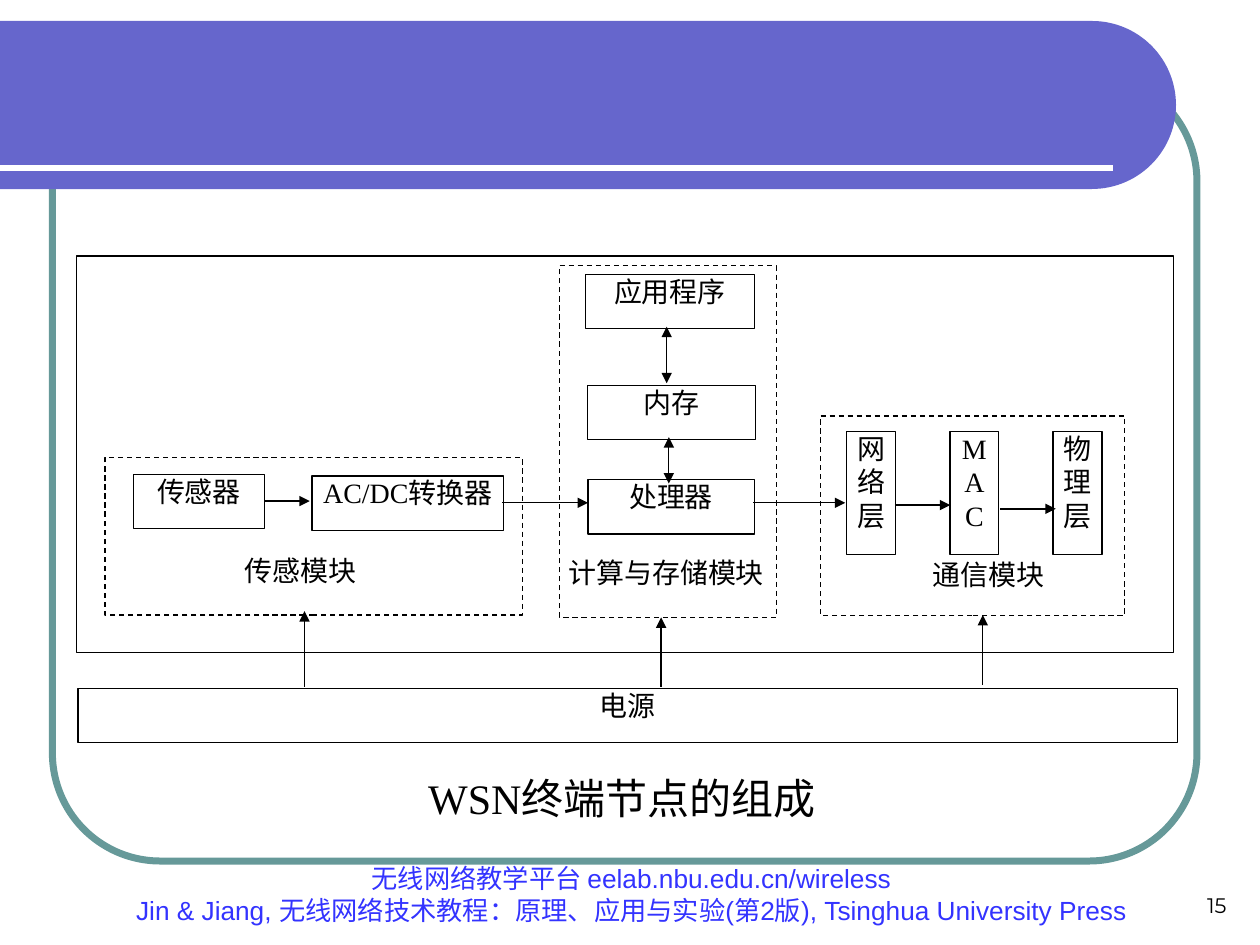
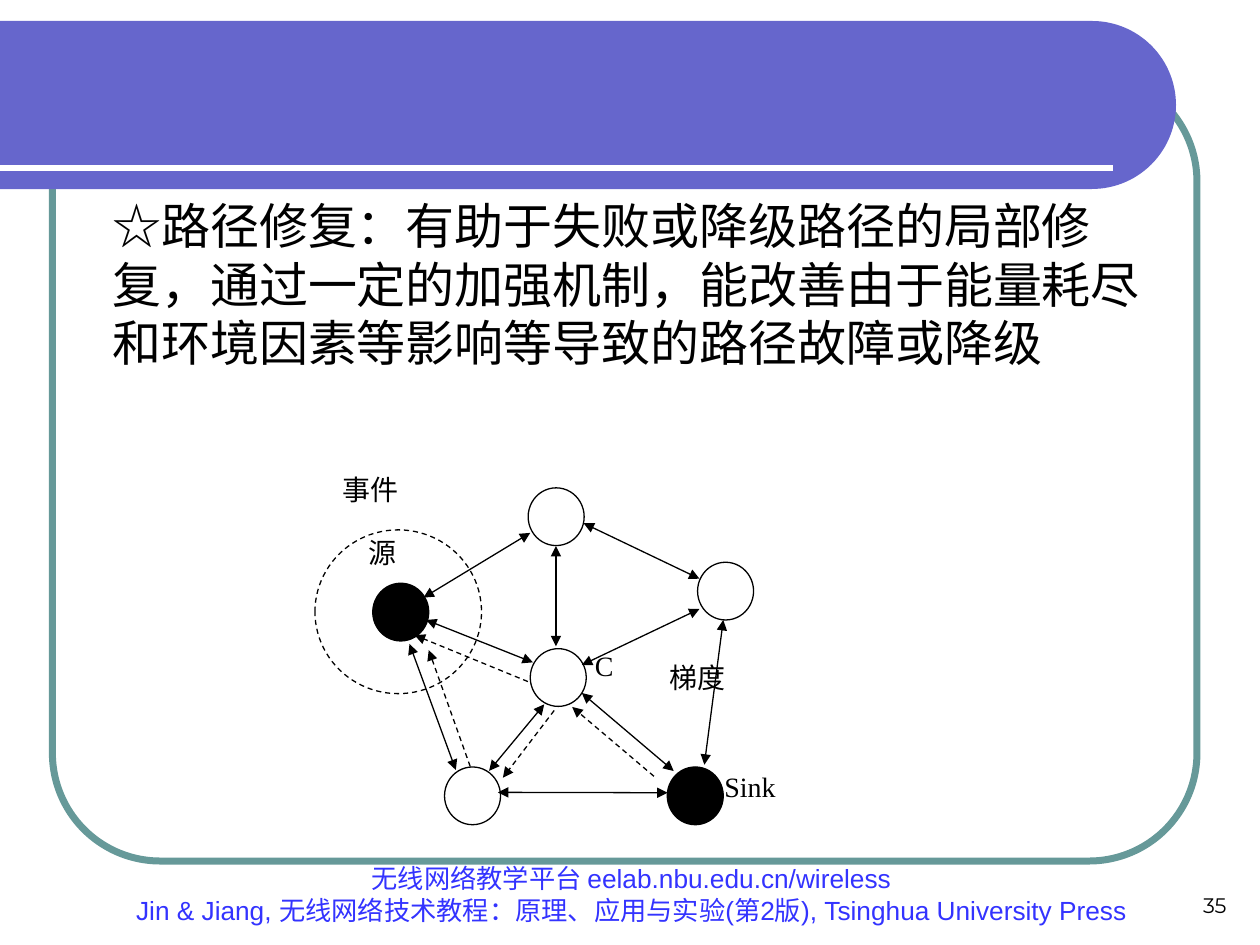
import math
from dataclasses import dataclass

import pptx
import pptx.dml.color
import pptx.enum.dml
import pptx.enum.shapes
import pptx.enum.text
import pptx.oxml.ns
import pptx.util
from lxml import etree

Pt = pptx.util.Pt
Shape = pptx.enum.shapes.MSO_SHAPE
Align = pptx.enum.text.PP_ALIGN
Anchor = pptx.enum.text.MSO_ANCHOR
qn = pptx.oxml.ns.qn


@dataclass(frozen=True)
class Theme:
    """Colours, fonts and type sizes shared by the slides."""
    white: str = "FFFFFF"
    ink: str = "000000"
    band: str = "6666CC"
    frame: str = "669999"
    footer: str = "3333FF"
    text_font: str = "Arial"
    diagram_font: str = "Times New Roman"
    number_font: str = "Montserrat"
    body_size: float = 28
    caption_size: float = 24
    label_size: float = 16
    footer_size: float = 15
    number_size: float = 12
    hairline: float = 0.75


FOOTER = ["无线网络教学平台 eelab.nbu.edu.cn/wireless",
          "Jin & Jiang, 无线网络技术教程：原理、应用与实验(第2版), "
          "Tsinghua University Press"]


def rgb(colour):
    return pptx.dml.color.RGBColor.from_string(colour)


class Deck:
    """Holds the theme and the current slide; draws each kind of element."""

    def __init__(self, theme):
        self.theme = theme
        self.prs = pptx.Presentation()
        self.prs.slide_width, self.prs.slide_height = Pt(720), Pt(540)
        self.slide = None

    def new_slide(self, number, layout):
        self.slide = self.prs.slides.add_slide(self.prs.slide_layouts[layout])
        title = self.slide.shapes.title
        if title is not None:
            title.element.getparent().remove(title.element)
        self.backdrop()
        t = self.theme
        self.text(FOOTER, (55.5, 502.5, 610.5, 30), t.footer_size, t.text_font,
                  t.footer, Align.CENTER, Anchor.BOTTOM)
        self.text([str(number)], (540, 492, 168, 36), t.number_size,
                  t.number_font, t.ink, Align.RIGHT, Anchor.BOTTOM)

    def backdrop(self):
        """Rounded frame, title band with a semicircular end, white rule."""
        t = self.theme
        frame = self.shape((30, 42, 654, 450), Shape.ROUNDED_RECTANGLE,
                           fill=None, line=t.frame, width=4)
        frame.adjustments[0] = 0.137
        radius, centre_x, centre_y, steps = 48, 624, 60, 60
        angles = [math.pi * (i / steps - 0.5) for i in range(steps + 1)]
        edge = [(Pt(centre_x + radius * math.cos(a)),
                 Pt(centre_y + radius * math.sin(a))) for a in angles]
        outline = self.slide.shapes.build_freeform(0, Pt(centre_y - radius))
        outline.add_line_segments(edge + [(0, Pt(centre_y + radius))])
        self.paint(outline.convert_to_shape(), t.band, None)
        self.line((0, 96), (636, 96), colour=t.white, width=3)

    def paint(self, shape, fill, line, width=None, dashed=False):
        shape.shadow.inherit = False
        if fill:
            shape.fill.solid()
            shape.fill.fore_color.rgb = rgb(fill)
        else:
            shape.fill.background()
        if line:
            self.stroke(shape.line, line, width, dashed)
        else:
            shape.line.fill.background()

    def stroke(self, line, colour, width, dashed):
        line.color.rgb = rgb(colour)
        line.width = Pt(width or self.theme.hairline)
        if dashed:
            line.dash_style = pptx.enum.dml.MSO_LINE.DASH

    def shape(self, box, kind=Shape.RECTANGLE, fill=Theme.white,
              line=Theme.ink, width=None, dashed=False):
        shape = self.slide.shapes.add_shape(kind, *map(Pt, box))
        self.paint(shape, fill, line, width, dashed)
        return shape

    def label(self, words, box, line=None, align=Align.CENTER):
        """White box with diagram text starting at its top edge."""
        t = self.theme
        frame = self.shape(box, line=line).text_frame
        frame.margin_left = frame.margin_right = 0
        frame.margin_top = frame.margin_bottom = 0
        self.fill_text(frame, [words], t.label_size, t.diagram_font, t.ink,
                       align, Anchor.TOP)

    def text(self, lines, box, *style):
        frame = self.slide.shapes.add_textbox(*map(Pt, box)).text_frame
        self.fill_text(frame, lines, *style)

    def fill_text(self, frame, lines, size, font, colour, align, anchor):
        frame.word_wrap = True
        frame.auto_size = pptx.enum.text.MSO_AUTO_SIZE.NONE
        frame.vertical_anchor = anchor
        for i, words in enumerate(lines):
            paragraph = frame.add_paragraph() if i else frame.paragraphs[0]
            paragraph.text = words
            paragraph.alignment = align
            paragraph.font.size = Pt(size)
            paragraph.font.name = font
            paragraph.font.color.rgb = rgb(colour)

    def body(self, words, box, indent):
        """Unbulleted text in the layout's body placeholder."""
        t = self.theme
        holder = self.slide.placeholders[1]
        holder.left, holder.top, holder.width, holder.height = map(Pt, box)
        paragraph = holder.text_frame.paragraphs[0]
        properties = paragraph._p.get_or_add_pPr()
        properties.set("marL", str(Pt(indent)))
        properties.set("indent", "0")
        properties.set("hangingPunct", "0")
        etree.SubElement(properties, qn("a:buNone"))
        paragraph.space_before = Pt(0)
        self.fill_text(holder.text_frame, [words], t.body_size, t.text_font,
                       t.ink, Align.LEFT, Anchor.TOP)

    def line(self, start, end, heads=(), dashed=False, colour=Theme.ink,
             width=None):
        link = self.slide.shapes.add_connector(
            pptx.enum.shapes.MSO_CONNECTOR.STRAIGHT,
            *map(Pt, (*start, *end)))
        self.stroke(link.line, colour, width, dashed)
        outline = link.line._get_or_add_ln()
        for head in heads:
            etree.SubElement(outline, qn(f"a:{head}"), type="triangle")
        etree.SubElement(link._element.spPr, qn("a:effectLst"))

    def arrow(self, start, end, dashed=False):
        self.line(start, end, ["tailEnd"], dashed)

    def double_arrow(self, start, end):
        self.line(start, end, ["headEnd", "tailEnd"])


def node_structure(deck):
    """Composition of a WSN terminal node."""
    ink = deck.theme.ink
    deck.new_slide(15, layout=6)
    deck.shape((43.8, 146.2, 627, 226.8))

    # Modules with their names
    modules = [("传感模块", (134.7, 316.3, 74, 27), (60, 261.4, 238.5, 90)),
               ("计算与存储模块", (321.8, 317.5, 118, 31), (319.7, 151.8, 124, 201)),
               ("通信模块", (510, 318.4, 110, 31), (468.7, 237.7, 174, 114))]
    for name, name_box, module_box in modules:
        deck.shape(module_box, dashed=True)
        deck.label(name, name_box)

    # Components
    components = [("传感器", 76.2, 271, 75), ("AC/DC转换器", 178.2, 272, 109.5),
                  ("应用程序", 334.6, 156.8, 96.5), ("内存", 335.8, 220.2, 96),
                  ("处理器", 336, 274.2, 95), ("电源", 44.6, 393.5, 628.5)]
    for name, x, y, width in components:
        deck.label(name, (x, y, width, 31), ink)
    for i, layer in enumerate(["网络层", "M\nA\nC", "物理层"]):
        deck.label(layer, (483.8 + 59 * i, 246.5, 28, 70.5), ink)

    # Signal flow, left to right
    for x1, x2, y in [(151, 177, 286.3), (286.8, 336, 287.3),
                      (430.5, 483, 287.3), (511.4, 543, 288.6),
                      (571.5, 603.3, 290.8)]:
        deck.arrow((x1, y), (x2, y))

    # Power supply, upwards
    for x, y1, y2 in [(174, 392.5, 349.2), (377.8, 392.5, 352.8),
                      (561.6, 391.2, 351.4)]:
        deck.arrow((x, y1), (x, y2))

    # Program, memory and processor exchange
    for x, y1, y2 in [(381, 186.7, 219), (382.2, 276.3, 249.8)]:
        deck.double_arrow((x, y1), (x, y2))

    t = deck.theme
    deck.text(["WSN终端节点的组成"], (237.6, 438, 245.5, 36), t.caption_size,
              t.diagram_font, ink, Align.LEFT, Anchor.MIDDLE)


def path_repair(deck):
    """Local repair of a path in a gradient network."""
    t = deck.theme
    deck.new_slide(35, layout=1)
    deck.body("☆路径修复：有助于失败或降级路径的局部修复，通过一定的加强机制，"
              "能改善由于能量耗尽和环境因素等影响等导致的路径故障或降级",
              (30, 108, 636, 114), 27)

    # Event area and nodes
    deck.shape((180, 302.8, 95.2, 93.6), Shape.OVAL, dashed=True)
    for name, box in [("C", (340, 370.6, 17, 30)),
                      ("梯度", (382.5, 377.4, 53, 33)),
                      ("源", (210.4, 306, 29.5, 26.5)),
                      ("事件", (196, 270, 52, 28)),
                      ("Sink", (414, 440, 47.5, 29))]:
        deck.label(name, box, align=Align.JUSTIFY)
    relays = [(301.8, 278.8), (398.6, 321.3), (303, 370.7), (254, 438.3)]
    source_and_sink = [(213, 333.3), (381.3, 438.3)]
    for fill, places in [(t.white, relays), (t.ink, source_and_sink)]:
        for x, y in places:
            deck.shape((x, y, 32, 33), Shape.OVAL, fill=fill)

    # Gradients between neighbours
    gradients = [((242, 341.5), (303, 304.5)), ((234, 368), (260.5, 440)),
                 ((317.7, 369.3), (317.7, 312)), ((243.5, 354.3), (304.5, 378.5)),
                 ((279.5, 440.5), (311, 402.5)), ((284.5, 452.8), (381.5, 453)),
                 ((332.5, 396), (385, 440.6)), ((333.5, 299), (399.7, 330.7)),
                 ((413.3, 354.3), (402.5, 437)), ((332.5, 380), (399.7, 348))]
    for start, end in gradients:
        deck.double_arrow(start, end)

    # Reinforcement from the sink back to the source
    reinforcements = [((373.7, 443.6), (327, 404)), ((301.7, 389.5), (237, 363)),
                      ((316.7, 406), (287.4, 444.4)), ((268.7, 438), (245, 371.5))]
    for start, end in reinforcements:
        deck.arrow(start, end, dashed=True)


def main():
    deck = Deck(Theme())
    node_structure(deck)
    path_repair(deck)
    deck.prs.save("out.pptx")


if __name__ == "__main__":
    main()
